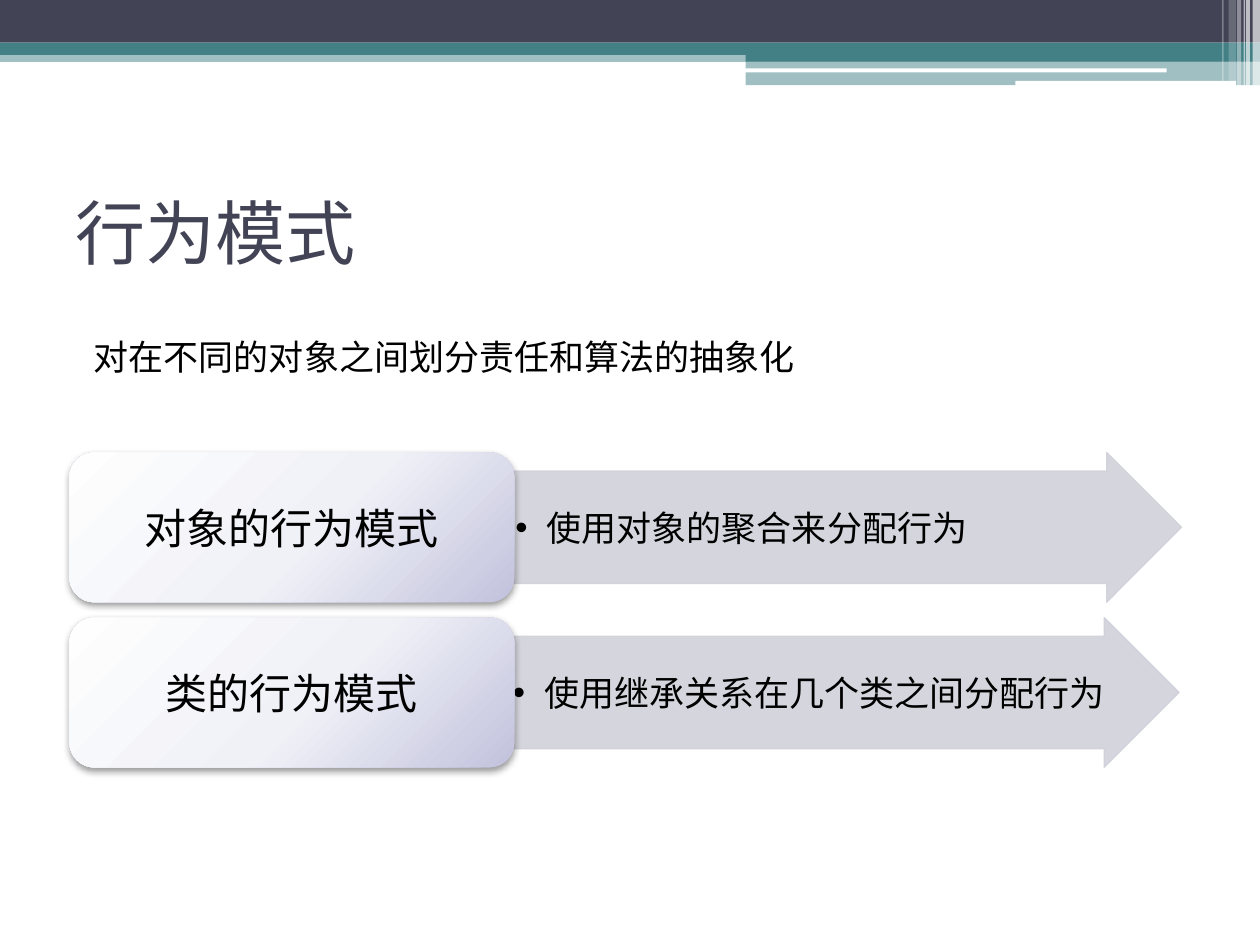
from pptx import Presentation
from pptx import util as u
from pptx.dml import color
from pptx.enum import shapes, text
from pptx.oxml import parse_xml
from pptx.oxml.ns import qn
from lxml import etree

Kind = shapes.MSO_SHAPE
NS = 'xmlns:a="http://schemas.openxmlformats.org/drawingml/2006/main"'
HUES = {"navy": "424456", "teal": "438086", "white": "FFFFFF", "ink": "000000",
        "arrow": "D1D1DA", "light": "FEFEFE", "mid": "F0F1F7", "lilac": "C2C2DD"}


class Deck:
    head, body = "Cabin", "Cambria"

    def __init__(self):
        self.prs = Presentation()
        self.prs.slide_width, self.prs.slide_height = u.Cm(25.4), u.Cm(19.05)
        self.slide = self.prs.slides.add_slide(self.prs.slide_layouts[5])

    def paint(self, fill, hue, alpha=100):
        fill.solid()
        fill.fore_color.rgb = color.RGBColor.from_string(HUES[hue])
        if alpha < 100:
            tint = fill._xPr.find(qn("a:solidFill"))[0]
            etree.SubElement(tint, qn("a:alpha")).set("val", str(alpha * 1000))

    def shape(self, kind, box, hue, alpha=100):
        item = self.slide.shapes.add_shape(kind, *map(u.Cm, box))
        item.shadow.inherit = False
        self.paint(item.fill, hue, alpha)
        item.line.fill.background()
        return item

    def label(self, item, words, size, hue="ink", font=body,
              align=text.PP_ALIGN.LEFT, pad=(0.25, 0.13)):
        frame = item.text_frame
        frame.word_wrap = True
        frame.vertical_anchor = text.MSO_ANCHOR.MIDDLE
        frame.margin_left = frame.margin_right = u.Cm(pad[0])
        frame.margin_top = frame.margin_bottom = u.Cm(pad[1])
        para = frame.paragraphs[0]
        para.alignment = align
        run = para.add_run()
        run.text = words
        run.font.size, run.font.name = u.Pt(size), font
        run.font.color.rgb = color.RGBColor.from_string(HUES[hue])
        return para

    def title(self, box, words):
        item = self.slide.shapes.title
        item.left, item.top, item.width, item.height = map(u.Cm, box)
        self.label(item, words, 40, "navy", self.head)

    def note(self, box, words):
        item = self.slide.shapes.add_textbox(*map(u.Cm, box))
        self.label(item, words, 20, pad=(0.7, 0.13))

    def arrow(self, box, words):
        item = self.shape(Kind.RIGHT_ARROW, box, "arrow", 90)
        item.adjustments[0], item.adjustments[1] = 0.75, 0.5
        self.paint(item.line.fill, "arrow", 90)
        item.line.width = u.Pt(0.75)
        para = self.label(item, words, 20, pad=(0.03, 0.03))
        props = para._p.get_or_add_pPr()
        props.set("marL", str(u.Cm(0.63)))
        props.set("indent", str(-u.Cm(0.63)))
        etree.SubElement(props, qn("a:buFont")).set("typeface", "Arial")
        etree.SubElement(props, qn("a:buChar")).set("char", "•")

    def card(self, box, words):
        item = self.shape(Kind.ROUNDED_RECTANGLE, box, "light")
        stops = "".join(f'<a:gs pos="{pos}000"><a:srgbClr val="{HUES[hue]}"/></a:gs>'
                        for pos, hue in ((0, "light"), (55, "mid"), (100, "lilac")))
        grad = parse_xml(f'<a:gradFill {NS} rotWithShape="1"><a:gsLst>{stops}</a:gsLst>'
                         '<a:path path="circle"><a:fillToRect l="-40000" t="-90000"'
                         ' r="140000" b="190000"/></a:path></a:gradFill>')
        props = item._element.spPr
        props.replace(props.find(qn("a:solidFill")), grad)
        props.find(qn("a:effectLst")).append(parse_xml(
            f'<a:outerShdw {NS} blurRad="{u.Pt(4.1)}" dist="{u.Pt(2)}" dir="5400000"'
            f' rotWithShape="0"><a:srgbClr val="{HUES["ink"]}"><a:alpha val="40000"/>'
            '</a:srgbClr></a:outerShdw>'))
        self.label(item, words, 24, align=text.PP_ALIGN.CENTER)


def main():
    deck = Deck()
    for box, hue, alpha in (
            ((0, 1.02, 25.4, 0.23), "teal", 50),
            ((0, 0, 25.4, 0.86), "navy", 100),
            ((0, 0.86, 25.4, 0.25), "teal", 100),
            ((15.03, 0.99, 10.37, 0.25), "teal", 100),
            ((15.03, 1.23, 10.37, 0.49), "teal", 50)):
        deck.shape(Kind.RECTANGLE, box, hue, alpha)
    for box in ((15.01, 1.38, 8.51, 0.08), (20.47, 1.63, 4.45, 0.1)):
        deck.shape(Kind.ROUNDED_RECTANGLE, box, "white")
    for left, wide, high, alpha in (
            (25.25, 0.15, 1.73, 65), (25.12, 0.08, 1.73, 65), (25.07, 0.03, 1.73, 60),
            (24.94, 0.08, 1.73, 40), (24.77, 0.15, 1.63, 20), (24.64, 0.03, 1.63, 30)):
        deck.shape(Kind.RECTANGLE, (left, 0, wide, high), "white", alpha)

    deck.title((1.27, 3.18, 22.86, 2.97), "行为模式")
    deck.note((1.19, 6.63, 23.22, 1.12), "对在不同的对象之间划分责任和算法的抽象化")
    rows = ((10.36, "对象的行为模式", "使用对象的聚合来分配行为"),
            (10.31, "类的行为模式", "使用继承关系在几个类之间分配行为"))
    for row, (left, name, means) in enumerate(rows):
        top = 9.12 + 3.33 * row
        deck.arrow((left, top, 13.46, 3.02), means)
        deck.card((1.4, top, 8.97, 3.02), name)
    deck.prs.save("out.pptx")


if __name__ == "__main__":
    main()
